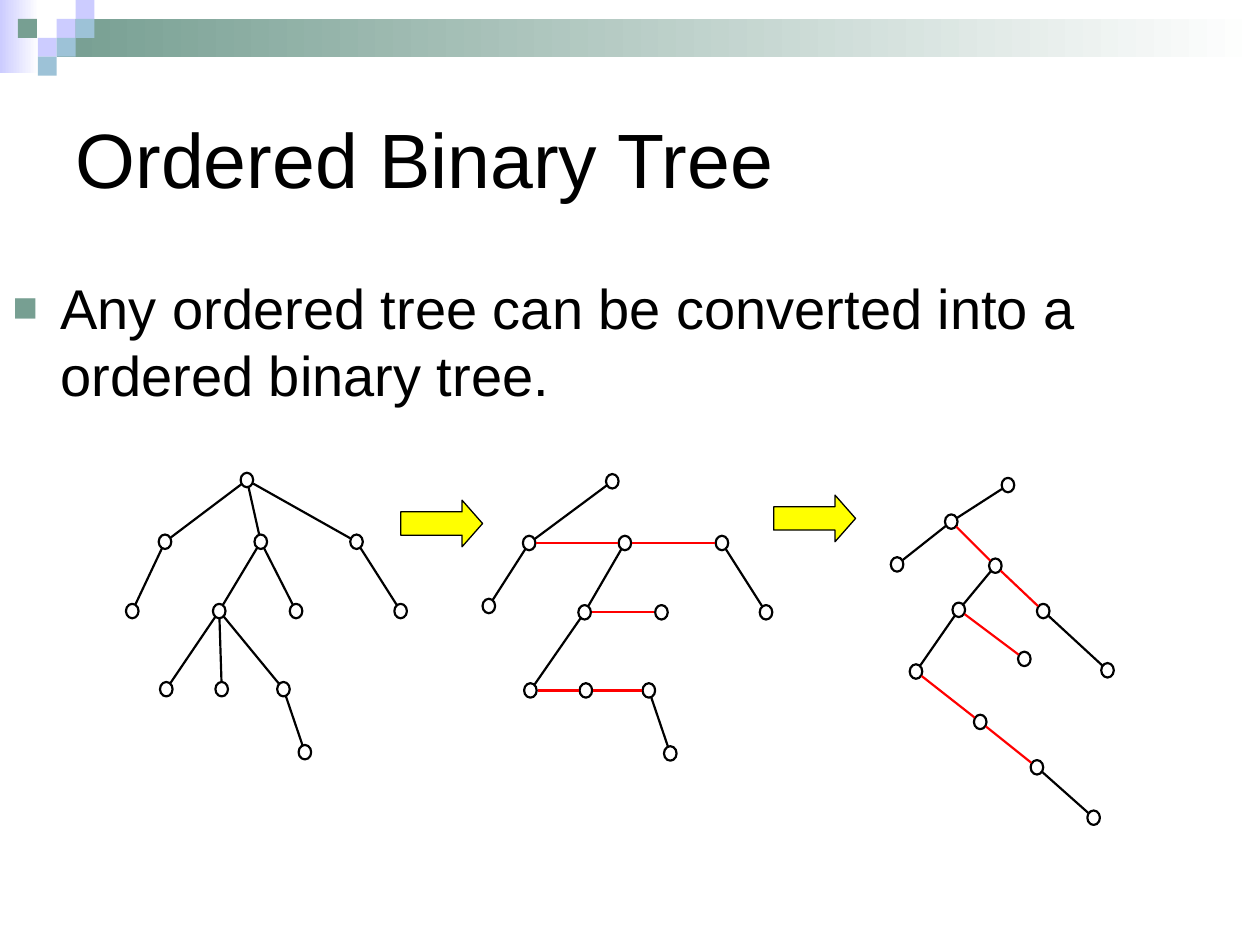
import math
import pptx
import pptx.util
import pptx.dml.color
import pptx.enum.shapes
import pptx.enum.text
import pptx.oxml
import pptx.oxml.ns
from pptx.util import Inches

THEME = dict(ink="000000", paper="FFFFFF", red="FF0000", yellow="FFFF00",
             lilac="CCCCFF", sage="779F92", sky="9DC2D7",
             font="Arial", title=44, body=32, edge=1.25, rim=0.74)

TITLE = "Ordered Binary Tree"
BODY = "Any ordered tree can be converted into a ordered binary tree."

FADES = [((0, 0, 0.31, 0.58), "lilac"), ((0.45, 0.15, 9.55, 0.3), "sage")]
TILE = 0.15
TILES = [(3, 1, "lilac"), (4, 0, "lilac"), (4, 1, "sky"), (2, 2, "lilac"),
         (0.95, 1, "sage"), (3, 2, "sky"), (2, 3, "sky")]

NODE = (0.1, 0.115)
TREES = [
    dict(nodes=dict(a=(1.96, 3.81), b=(1.31, 4.3), c=(2.07, 4.3),
                    d=(2.83, 4.3), e=(1.05, 4.85), f=(1.74, 4.85),
                    g=(2.35, 4.85), h=(3.18, 4.85), i=(1.32, 5.47),
                    j=(1.76, 5.47), k=(2.25, 5.47), l=(2.42, 5.97)),
         ink="ab ac ad be cf cg dh fi fj fk kl", red=""),
    dict(nodes=dict(a=(4.86, 3.82), b=(4.2, 4.31), c=(4.96, 4.31),
                    d=(5.73, 4.31), e=(3.88, 4.81), f=(4.64, 4.86),
                    g=(5.25, 4.86), h=(6.08, 4.86), i=(4.21, 5.48),
                    j=(4.65, 5.48), k=(5.15, 5.48), l=(5.32, 5.98)),
         ink="ab be cf dh fi kl", red="bc cd fg ij jk"),
    dict(nodes=dict(a=(8, 3.85), b=(7.55, 4.14), e=(7.12, 4.48),
                    c=(7.9, 4.49), f=(7.61, 4.84), g=(8.13, 5.23),
                    d=(8.28, 4.85), h=(8.79, 5.32), i=(7.27, 5.33),
                    j=(7.78, 5.73), k=(8.23, 6.09), l=(8.68, 6.49)),
         ink="ab be cf fi dh kl", red="bc cd fg ij jk"),
]
ARROWS = [(3.18, 3.97), (6.14, 3.93)]
ARROW = (0.65, 0.37)

KIND = pptx.enum.shapes.MSO_SHAPE
deck = pptx.Presentation()
deck.slide_width, deck.slide_height = Inches(10), Inches(7.5)
slide = deck.slides.add_slide(deck.slide_layouts[1])
shapes = slide.shapes


def tint(name):
    return pptx.dml.color.RGBColor.from_string(THEME[name])


def put(item, **vals):
    for key, val in vals.items():
        setattr(item, key, val)


def draw(kind, box, fill, rim=None):
    shape = shapes.add_shape(kind, *map(Inches, box))
    shape.shadow.inherit = False
    shape.fill.solid()
    shape.fill.fore_color.rgb = tint(fill)
    if rim:
        shape.line.color.rgb = tint("ink")
        shape.line.width = pptx.util.Pt(rim)
    else:
        shape.line.fill.background()
    return shape


def fade(box, name):
    fill = draw(KIND.RECTANGLE, box, name).fill
    fill.gradient()
    fill.gradient_angle = 180
    for stop, hue, place in zip(fill.gradient_stops, ("paper", name), (0, 1)):
        stop.color.rgb = tint(hue)
        stop.position = place


def join(start, end, hue):
    dx, dy = end[0] - start[0], end[1] - start[1]
    gap = NODE[1] / 2 / math.hypot(dx, dy)
    ends = [(start[0] + dx * t, start[1] + dy * t) for t in (gap, 1 - gap)]
    line = shapes.add_connector(pptx.enum.shapes.MSO_CONNECTOR.STRAIGHT,
                                *[Inches(v) for pt in ends for v in pt])
    line.line.color.rgb = tint(hue)
    line.line.width = pptx.util.Pt(THEME["edge"])
    props = line._element.spPr
    props.append(pptx.oxml.parse_xml(
        "<a:effectLst %s/>" % pptx.oxml.ns.nsdecls("a")))


def write(holder, text, size, box, anchor):
    put(holder, **dict(zip(("left", "top", "width", "height"),
                           map(Inches, box))))
    frame = holder.text_frame
    frame.text = text
    put(frame, word_wrap=True, vertical_anchor=anchor,
        auto_size=pptx.enum.text.MSO_AUTO_SIZE.NONE,
        margin_left=Inches(0.1), margin_right=Inches(0.1),
        margin_top=Inches(0.05), margin_bottom=Inches(0.05))
    para = frame.paragraphs[0]
    para.alignment = pptx.enum.text.PP_ALIGN.LEFT
    font = para.runs[0].font
    put(font, name=THEME["font"], size=pptx.util.Pt(THEME[size]))
    font.color.rgb = tint("ink")
    return para


for box, name in FADES:
    fade(box, name)
for col, row, name in TILES:
    draw(KIND.RECTANGLE, (col * TILE, row * TILE, TILE, TILE), name)

ANCHOR = pptx.enum.text.MSO_ANCHOR
write(shapes.title, TITLE, "title", (0.5, 0.5, 9, 1.5), ANCHOR.MIDDLE)
para = write(slide.placeholders[1], BODY, "body", (0, 2.12, 8.98, 4.5),
             ANCHOR.TOP)
para.space_before = pptx.util.Pt(8)
props = para._p.get_or_add_pPr()
props.set("marL", str(Inches(0.38)))
props.set("indent", str(-Inches(0.38)))
for mark in ('<a:buClr %s><a:srgbClr val="' + THEME["sage"] + '"/></a:buClr>',
             '<a:buSzPct %s val="75000"/>',
             '<a:buFont %s typeface="' + THEME["font"] + '"/>',
             '<a:buChar %s char="■"/>'):
    props.append(pptx.oxml.parse_xml(mark % pptx.oxml.ns.nsdecls("a")))

for tree in TREES:
    nodes = tree["nodes"]
    for x, y in nodes.values():
        draw(KIND.OVAL, (x - NODE[0] / 2, y - NODE[1] / 2, *NODE),
             "paper", THEME["edge"])
    for hue in ("ink", "red"):
        for start, end in tree[hue].split():
            join(nodes[start], nodes[end], hue)

for spot in ARROWS:
    arrow = draw(KIND.RIGHT_ARROW, (*spot, *ARROW), "yellow", THEME["rim"])
    arrow.adjustments[1] = 0.44

deck.save("out.pptx")
